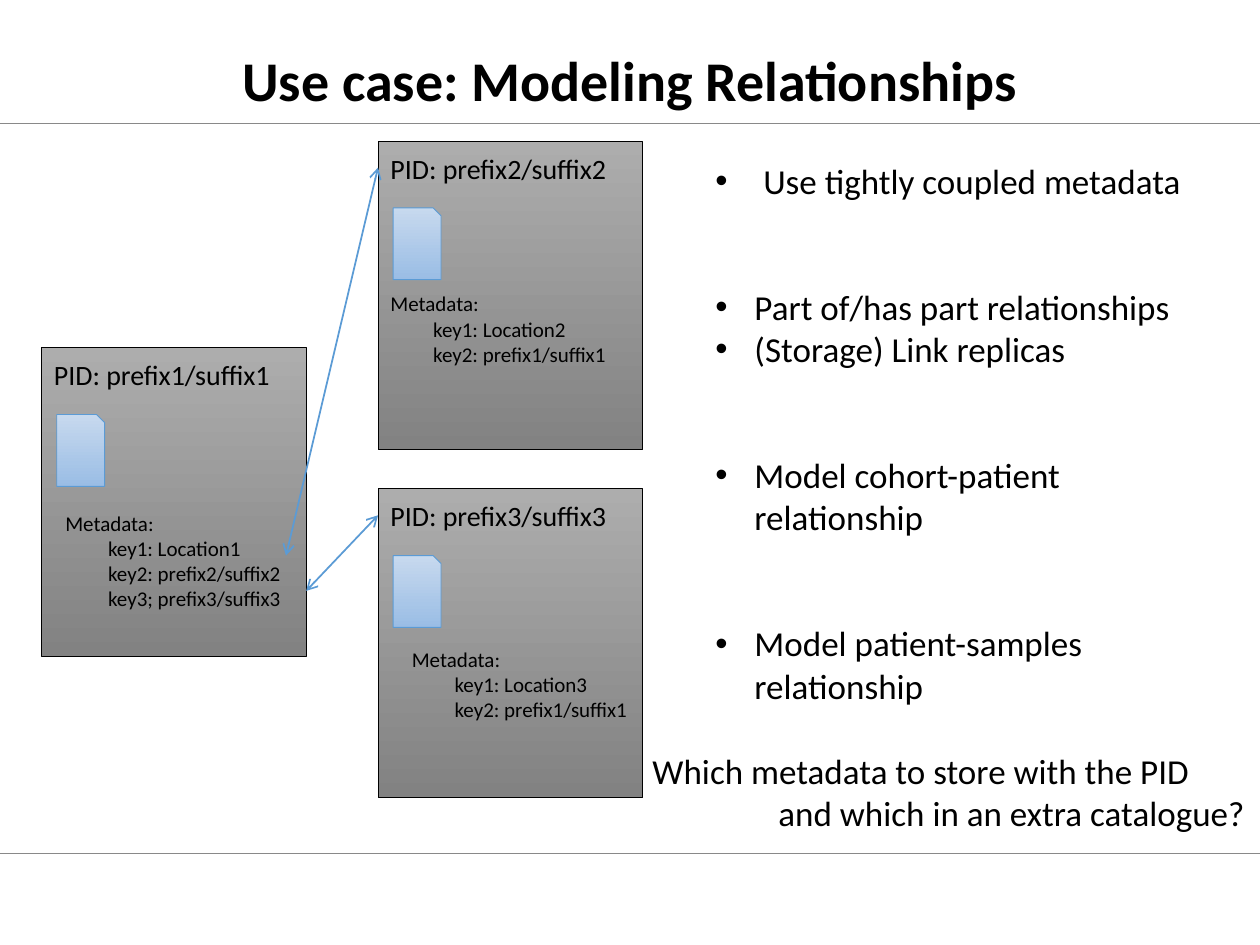
"""Build the slide on modeling relationships between PIDs."""
from lxml import etree
from pptx import Presentation
from pptx.dml.color import RGBColor
from pptx.enum.shapes import MSO_CONNECTOR, MSO_SHAPE
from pptx.enum.text import PP_ALIGN
from pptx.oxml.ns import qn
from pptx.util import Inches, Pt

RECT = MSO_SHAPE.RECTANGLE
SNIP = MSO_SHAPE.SNIP_1_RECTANGLE
STRAIGHT = MSO_CONNECTOR.STRAIGHT
LEFT = PP_ALIGN.LEFT
CENTER = PP_ALIGN.CENTER
BLACK = RGBColor(0x00, 0x00, 0x00)
GRAY = RGBColor(0x89, 0x89, 0x89)
BLUE = RGBColor(0x5B, 0x9B, 0xD5)
CARD = (RGBColor(0xAD, 0xAD, 0xAD), RGBColor(0x82, 0x82, 0x82))
PAGE = (RGBColor(0xC7, 0xD9, 0xEE), RGBColor(0x9A, 0xBD, 0xE5))
FONT = "Calibri"

CARDS = [
    (0.33, 2.76, 1, 0.09, 1.24,
     ["key1: Location1", "key2: prefix2/suffix2", "key3; prefix3/suffix3"]),
    (3, 1.12, 2, 0, 1.14, ["key1: Location2", "key2: prefix1/suffix1"]),
    (3, 3.88, 3, 0.17, 1.2, ["key1: Location3", "key2: prefix1/suffix1"]),
]
POINTS = [
    ("Use tightly coupled metadata", 0.38, 0),
    ("Part of/has part relationships", 0.31, 48),
    ("(Storage) Link replicas", 0.31, 0),
    ("Model cohort-patient relationship", 0.31, 48),
    ("Model patient-samples relationship", 0.31, 48),
]
LINKS = [(3, 1.33, 2.27, 4.41), (2.43, 4.69, 3, 4.09)]


def add_text(shapes, box, lines, size, wrap=True, bold=False, align=LEFT):
    """Add a text box and return its paragraphs."""
    frame = shapes.add_textbox(*map(Inches, box)).text_frame
    frame.word_wrap = wrap
    frame.text = "\n".join(lines)
    for para in frame.paragraphs:
        para.alignment = align
        para.font.name = FONT
        para.font.size = Pt(size)
        para.font.bold = bold
        para.font.color.rgb = BLACK
    return frame.paragraphs


def indent(para, left, mark=None):
    """Indent a paragraph, with a hanging bullet if one is given."""
    props = para._p.get_or_add_pPr()
    props.set("marL", str(Inches(left)))
    if mark:
        props.set("indent", str(-Inches(left)))
        etree.SubElement(props, qn("a:buFont")).set("typeface", "Arial")
        etree.SubElement(props, qn("a:buChar")).set("char", mark)


def add_block(shapes, kind, box, shades, edge):
    """Add a shape that shades from top to bottom."""
    shape = shapes.add_shape(kind, *map(Inches, box))
    shape.shadow.inherit = False
    shape.fill.gradient()
    shape.fill.gradient_angle = 270
    for stop, shade, place in zip(shape.fill.gradient_stops, shades, (0, 1)):
        stop.color.rgb = shade
        stop.position = place
    shape.line.color.rgb = edge
    shape.line.width = Pt(0.5)


def add_line(shapes, ends, color, width, arrows=False):
    """Add a straight line, with open arrowheads at both ends if asked."""
    line = shapes.add_connector(STRAIGHT, *map(Inches, ends))
    line.line.color.rgb = color
    line.line.width = Pt(width)
    if arrows:
        for end in ("a:headEnd", "a:tailEnd"):
            etree.SubElement(line.line._ln, qn(end)).set("type", "arrow")
    etree.SubElement(line._element.spPr, qn("a:effectLst"))


def add_card(slide, left, top, num, dx, dy, keys):
    """Add a card for one PID with its file and metadata."""
    shapes = slide.shapes.add_group_shape().shapes
    add_block(shapes, RECT, (left, top, 2.1, 2.45), CARD, BLACK)
    add_text(shapes, (left, top + 0.03, 1.95, 0.37),
             [f"PID: prefix{num}/suffix{num}"], 16, wrap=False)
    add_block(shapes, SNIP, (left + 0.12, top + 0.53, 0.38, 0.57), PAGE, BLUE)
    paras = add_text(shapes, (left + dx, top + dy, 1.94, 0.71),
                     ["Metadata:", *keys], 12, wrap=False)
    for para in paras[1:]:
        indent(para, 0.34)


def main():
    """Build and save the slide."""
    deck = Presentation()
    deck.slide_width, deck.slide_height = Inches(10), Inches(7.5)
    slide = deck.slides.add_slide(deck.slide_layouts[6])
    shapes = slide.shapes
    for y in (6.77, 0.98):
        add_line(shapes, (0, y, 10, y), GRAY, 0.5)
    add_text(shapes, (0.5, 0.31, 9, 0.83),
             ["Use case: Modeling Relationships"], 32, bold=True, align=CENTER)
    paras = add_text(shapes, (5.58, 1.22, 4.2, 4.81),
                     [text for text, _, _ in POINTS], 20)
    for para, (_, left, gap) in zip(paras, POINTS):
        para.space_before = Pt(gap)
        indent(para, left, "•")
    paras = add_text(shapes, (5.08, 5.9, 5, 0.77),
                     ["Which metadata to store with the PID",
                      "and which in an extra catalogue?"], 20)
    indent(paras[1], 1)
    for card in CARDS:
        add_card(slide, *card)
    for ends in LINKS:
        add_line(shapes, ends, BLUE, 1, arrows=True)
    deck.save("out.pptx")


main()
